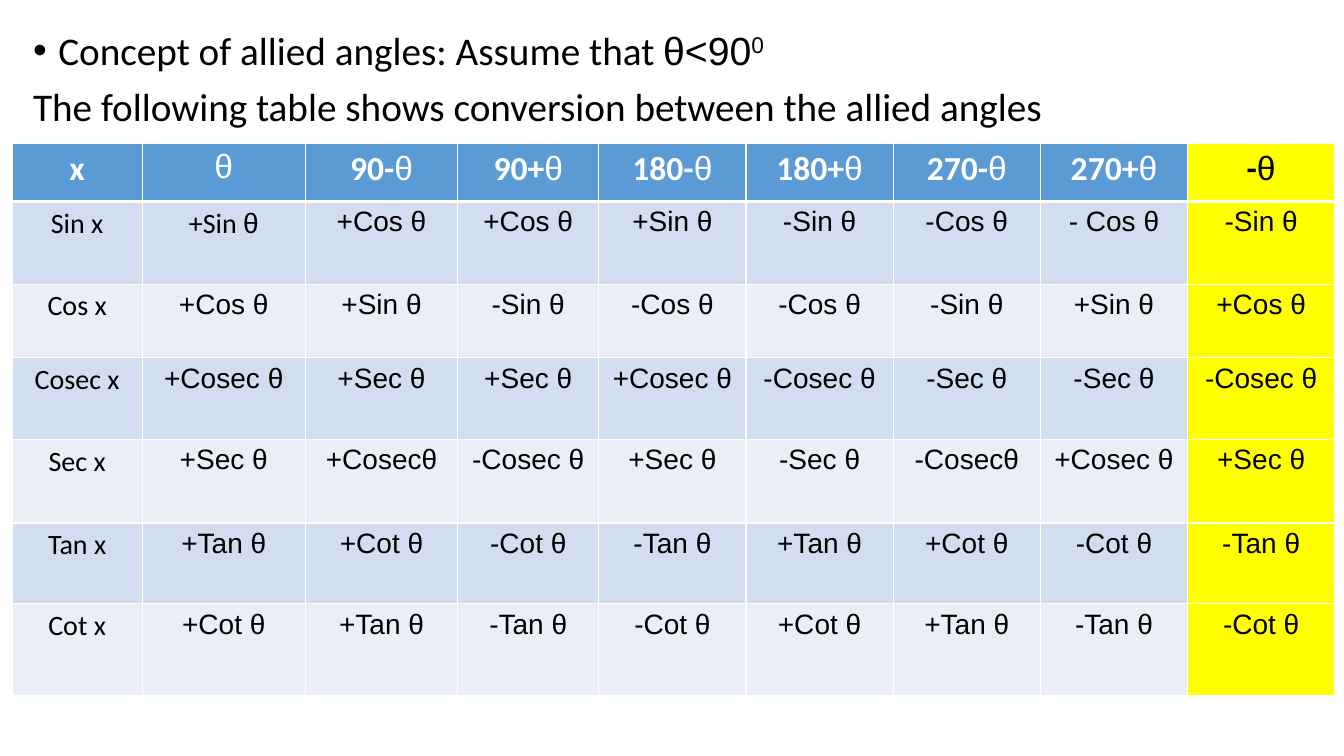
"""Build a slide with a table of trigonometric ratios of allied angles."""
from lxml.etree import SubElement
from pptx import Presentation
from pptx.dml.color import RGBColor
from pptx.enum.text import PP_ALIGN as Align
from pptx.oxml.ns import qn
from pptx.util import Inches, Pt

CONCEPT = [("Concept of allied angles: Assume that ", "Calibri"), ("θ<90", "Arial"), ("0", "Arial")]
INTRO = [("The following table shows conversion between the allied angles", "Calibri")]
ANGLES = ["x", "θ", "90-θ", "90+θ", "180-θ", "180+θ", "270-θ", "270+θ", "-θ"]
RATIOS = [
    ["Sin x", "+Sin θ", "+Cos θ", "+Cos θ", "+Sin θ", "-Sin θ", "-Cos θ", "- Cos θ", "-Sin θ"],
    ["Cos x", "+Cos θ", "+Sin θ", "-Sin θ", "-Cos θ", "-Cos θ", "-Sin θ", "+Sin θ", "+Cos θ"],
    ["Cosec x", "+Cosec θ", "+Sec θ", "+Sec θ", "+Cosec θ", "-Cosec θ", "-Sec θ", "-Sec θ", "-Cosec θ"],
    ["Sec x", "+Sec θ", "+Cosecθ", "-Cosec θ", "+Sec θ", "-Sec θ", "-Cosecθ", "+Cosec θ", "+Sec θ"],
    ["Tan x", "+Tan θ", "+Cot θ", "-Cot θ", "-Tan θ", "+Tan θ", "+Cot θ", "-Cot θ", "-Tan θ"],
    ["Cot x", "+Cot θ", "+Tan θ", "-Tan θ", "-Cot θ", "+Cot θ", "+Tan θ", "-Tan θ", "-Cot θ"],
]
WIDTHS = [1.29, 1.62, 1.51, 1.4] + [1.46] * 5
HEIGHTS = [0.58, 0.82, 0.73, 0.81, 0.83, 0.8, 0.91]
BLACK, WHITE, YELLOW, BLUE = "000000", "FFFFFF", "FFFF00", "5B9BD5"
BANDS = ["EAEFF7", "D2DEEF"]


def color(code):
    return RGBColor.from_string(code)


def add_span(para, text, font, size, code=BLACK, bold=False):
    span = para.add_run()
    span.text = text
    span.font.name, span.font.size, span.font.bold = font, Pt(size), bold
    span.font.color.rgb = color(code)
    return span


def add_intro(page):
    box = page.shapes.add_textbox(Inches(0.23), Inches(0.26), Inches(12.86), Inches(6.98))
    frame = box.text_frame
    frame.word_wrap = True
    for para, spans in zip((frame.paragraphs[0], frame.add_paragraph()), (CONCEPT, INTRO)):
        para.line_spacing, para.space_before = 0.9, Pt(10)
        for text, font in spans:
            span = add_span(para, text, font, 28)
            if text == "0":
                span.font._element.set("baseline", "30000")
    props = frame.paragraphs[0]._p.get_or_add_pPr()
    props.set("marL", str(Inches(0.25)))
    props.set("indent", str(Inches(-0.25)))
    SubElement(props, qn("a:buFont"), typeface="Arial")
    SubElement(props, qn("a:buChar"), char="•")


def add_borders(cell, row):
    props = cell._tc.get_or_add_tcPr()
    widths = {"lnL": 1, "lnR": 1, "lnT": 3 if row == 1 else 1, "lnB": 3 if row == 0 else 1}
    for side, width in widths.items():
        line = SubElement(props, qn("a:" + side), w=str(Pt(width)))
        SubElement(SubElement(line, qn("a:solidFill")), qn("a:srgbClr"), val=WHITE)


def cell_spans(text, row, column):
    if row == 0 or (row, column) == (1, 1):
        prefix = text.removesuffix("θ")
        spans = [(prefix, "Calibri", row == 0), (text[len(prefix):], "Arial", False)]
        return [span for span in spans if span[0]]
    return [(text, "Calibri" if column == 0 else "Arial", False)]


def add_ratio_table(page):
    rows = [ANGLES] + RATIOS
    last = len(ANGLES) - 1
    table = page.shapes.add_table(len(rows), len(ANGLES), Inches(0.12), Inches(1.42),
                                  Inches(sum(WIDTHS)), Inches(sum(HEIGHTS))).table
    for column, width in zip(table.columns, WIDTHS):
        column.width = Inches(width)
    for line, height in zip(table.rows, HEIGHTS):
        line.height = Inches(height)
    for row, texts in enumerate(rows):
        for column, text in enumerate(texts):
            cell = table.cell(row, column)
            add_borders(cell, row)
            cell.fill.solid()
            band = BANDS[row % 2] if row else BLUE
            cell.fill.fore_color.rgb = color(YELLOW if column == last else band)
            para = cell.text_frame.paragraphs[0]
            para.alignment = Align.CENTER
            code = WHITE if row == 0 and column < last else BLACK
            for part, font, bold in cell_spans(text, row, column):
                add_span(para, part, font, 20 if row else 24, code, bold)


def main():
    deck = Presentation()
    deck.slide_width, deck.slide_height = Inches(13.33), Inches(7.5)
    page = deck.slides.add_slide(deck.slide_layouts[6])
    add_intro(page)
    add_ratio_table(page)
    deck.save("out.pptx")


if __name__ == "__main__":
    main()
